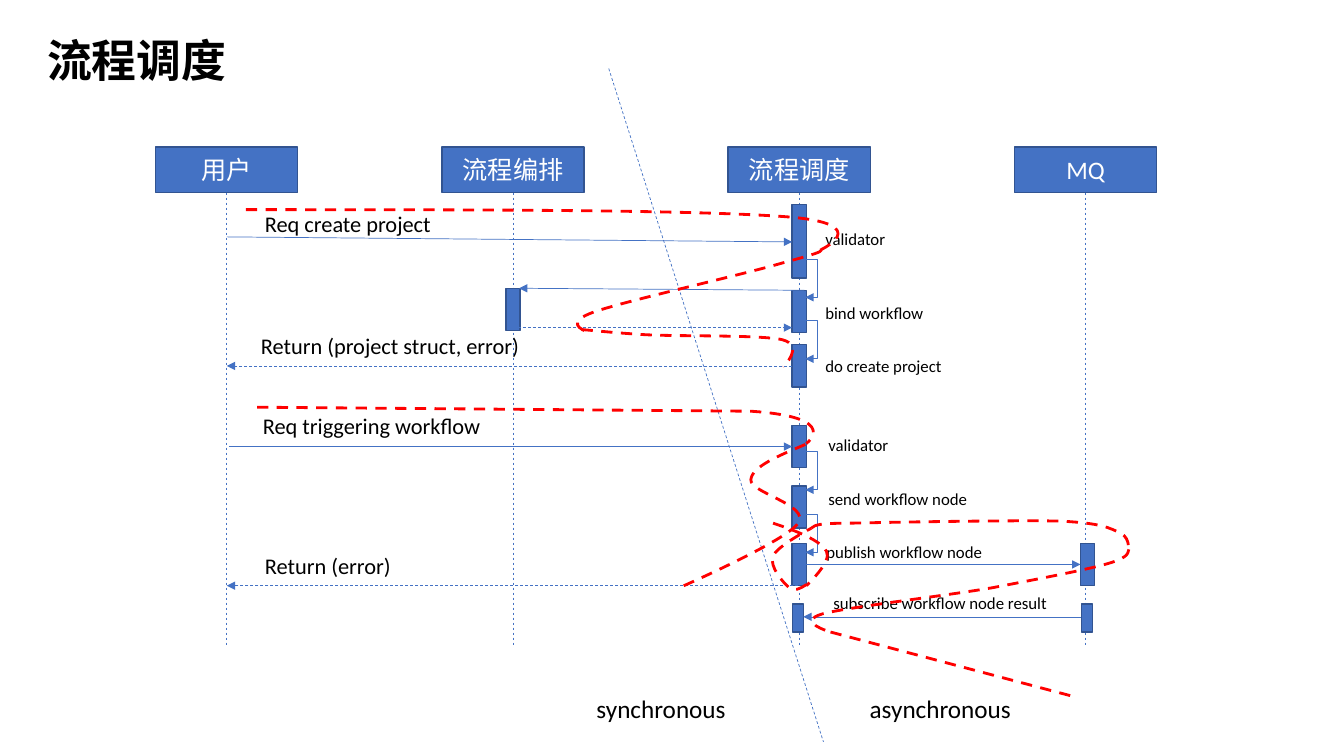
from dataclasses import dataclass
from math import comb

from lxml.etree import SubElement
from pptx import Presentation
from pptx.dml.color import RGBColor
from pptx.enum.dml import MSO_LINE
from pptx.enum.shapes import MSO_CONNECTOR, MSO_SHAPE
from pptx.enum.text import MSO_ANCHOR, MSO_AUTO_SIZE, PP_ALIGN
from pptx.oxml.ns import qn
from pptx.util import Cm, Pt

BLUE = RGBColor(0x44, 0x72, 0xC4)
NAVY = RGBColor(0x32, 0x54, 0x91)
RED = RGBColor(0xFF, 0x00, 0x00)
BLACK = RGBColor(0x00, 0x00, 0x00)
WHITE = RGBColor(0xFF, 0xFF, 0xFF)
FONT = "Calibri"

# All coordinates below are in inches; inch() turns them into Cm.
USER, ORCHESTRATION, SCHEDULER, QUEUE = (2.25 + 2.84 * i for i in range(4))
BAR_W = 0.14
HEAD_W, HEAD_H, HEAD_TOP = 1.41, 0.45, 1.46
LIFE_TOP, LIFE_BOTTOM = 1.91, 6.41
LOOP_X, LOOP_W, LOOP_H = 7.92, 0.07, 0.37

Point = tuple[float, float]


def inch(value: float) -> int:
    """Return a length in inches as Cm."""
    return Cm(value * 2.54)


@dataclass
class Label:
    text: str
    x: float
    y: float
    w: float
    h: float = 0.3
    size: int = 12
    bold: bool = False


@dataclass
class Bar:
    x: float
    y: float
    h: float = 0.42
    w: float = BAR_W


@dataclass
class Line:
    start: Point
    end: Point
    dashed: bool = False
    arrow: bool = True


@dataclass
class Stroke:
    """A start point and segments of one (straight) or three (cubic) points."""
    start: Point
    segments: list[tuple[Point, ...]]


HEADS = [("用户", USER), ("流程编排", ORCHESTRATION), ("流程调度", SCHEDULER), ("MQ", QUEUE)]
LIFELINES = [Line((x, LIFE_TOP), (x, LIFE_BOTTOM), True, False) for _, x in HEADS]
BARS = [
    Bar(7.86, 2.03, 0.73), *(Bar(7.86, y) for y in (2.88, 3.42, 4.22, 4.82, 5.39)),
    Bar(5.02, 2.86), Bar(10.72, 5.39), Bar(7.86, 5.99, 0.28, 0.11), Bar(10.73, 5.99, 0.28, 0.11),
]
MESSAGES = [
    Line((USER, 2.35), (7.86, 2.4)),
    Line((7.98, 2.88), (5.15, 2.86)),
    Line((ORCHESTRATION, 3.25), (7.86, 3.25), True),
    Line((7.86, 3.63), (USER, 3.63), True),
    Line((2.27, 4.43), (7.86, 4.43)),
    Line((7.99, 5.6), (10.72, 5.6)),
    Line((10.73, 6.12), (7.97, 6.12)),
    Line((7.92, 5.81), (USER, 5.81), True),
]
DIVIDER = Line((6.04, 0.68), (8.17, 7.36), True, False)
LOOP_TOPS = [2.58, 3.19, 4.49, 5.11]

LABELS = [
    Label("流程调度", 0.37, 0.28, 2, 0.64, 32, True),
    Label("Req create project", 2.53, 2.04, 1.87, 0.37, 16),
    Label("Return (project struct, error)", 2.49, 3.25, 2.81, 0.37, 16),
    Label("Req triggering workflow", 2.51, 4.04, 2.39, 0.37, 16),
    Label("Return (error)", 2.53, 5.43, 1.47, 0.37, 16),
    Label("validator", 8.09, 2.22, 0.8),
    Label("bind workflow", 8.09, 2.95, 1.19),
    Label("do create project", 8.09, 3.48, 1.37),
    Label("validator", 8.12, 4.26, 0.8),
    Label("send workflow node", 8.12, 4.8, 1.6),
    Label("publish workflow node", 8.1, 5.33, 1.77),
    Label("subscribe workflow node result", 8.17, 5.83, 2.36),
    Label("synchronous", 5.82, 6.83, 1.5, 0.4, 18),
    Label("asynchronous", 8.53, 6.83, 1.62, 0.4, 18),
]

STROKES = [
    Stroke((2.44, 2.08), [((4.64, 2.08), (6.84, 2.08), (7.79, 2.15)),
                          ((8.73, 2.22), (8.12, 2.49), (8.12, 2.49))]),
    Stroke((8.15, 2.48), [((8.14, 2.5), (8.13, 2.51), (7.76, 2.61)),
                          ((7.39, 2.72), (6.23, 2.98), (5.91, 3.09)),
                          ((5.58, 3.2), (5.8, 3.28), (5.8, 3.28))]),
    Stroke((5.77, 3.27), [((5.91, 3.28), (6.06, 3.3), (6.39, 3.32)),
                          ((6.72, 3.34), (7.53, 3.32), (7.76, 3.37)),
                          ((7.99, 3.43), (7.77, 3.64), (7.77, 3.64))]),
    Stroke((2.55, 4.04), [((7.45, 4.08),), ((8.36, 4.14), (8, 4.4), (8, 4.4))]),
    Stroke((7.99, 4.41), [((7.73, 4.52), (7.46, 4.63), (7.45, 4.76)),
                          ((7.44, 4.89), (8.04, 5.01), (7.92, 5.19)),
                          ((7.8, 5.37), (6.72, 5.84), (6.72, 5.84))]),
    Stroke((7.67, 5.19), [((7.91, 5.27), (8.14, 5.36), (8.2, 5.47)),
                          ((8.26, 5.57), (8, 5.81), (8, 5.81))]),
    Stroke((8, 5.8), [((7.94, 5.84), (7.88, 5.87), (7.83, 5.83)),
                      ((7.77, 5.78), (7.63, 5.62), (7.67, 5.52)),
                      ((7.7, 5.42), (8.05, 5.24), (8.05, 5.24))]),
    Stroke((11.2, 5.45), [((11.19, 5.5), (11.18, 5.54), (10.96, 5.6)),
                          ((10.74, 5.66), (10.32, 5.74), (9.85, 5.83)),
                          ((9.39, 5.91), (8.43, 6.02), (8.16, 6.09)),
                          ((7.89, 6.17), (8.24, 6.27), (8.24, 6.27))]),
    Stroke((8.24, 6.27), [((10.69, 6.92),)]),
    Stroke((8.05, 5.24), [((8.07, 5.22), (8.09, 5.21), (8.16, 5.2)),
                          ((8.23, 5.19), (8.49, 5.19), (8.49, 5.19)),
                          ((8.88, 5.18), (10.07, 5.16), (10.51, 5.17)),
                          ((10.94, 5.19), (11.01, 5.24), (11.12, 5.29)),
                          ((11.23, 5.35), (11.19, 5.49), (11.19, 5.49))]),
]


def write(tf, text: str, *, size: int, color=BLACK, bold=False, align=PP_ALIGN.LEFT) -> None:
    """Put one formatted run into a text frame."""
    p = tf.paragraphs[0]
    p.alignment = align
    r = p.add_run()
    r.text = text
    r.font.name, r.font.size, r.font.bold = FONT, Pt(size), bold
    r.font.color.rgb = color


def add_label(s, label: Label) -> None:
    """Add an unwrapped text box."""
    tf = s.shapes.add_textbox(*map(inch, (label.x, label.y, label.w, label.h))).text_frame
    tf.word_wrap = False
    tf.auto_size = MSO_AUTO_SIZE.SHAPE_TO_FIT_TEXT
    write(tf, label.text, size=label.size, bold=label.bold)


def add_box(s, x: float, y: float, w: float, h: float):
    """Add a blue rectangle with a navy outline."""
    sp = s.shapes.add_shape(MSO_SHAPE.RECTANGLE, *map(inch, (x, y, w, h)))
    sp.shadow.inherit = False
    sp.fill.solid()
    sp.fill.fore_color.rgb = BLUE
    sp.line.color.rgb, sp.line.width = NAVY, Pt(1)
    return sp


def add_line(s, line: Line, kind=MSO_CONNECTOR.STRAIGHT):
    """Add a thin blue connector, dashed or with an arrowhead as asked."""
    c = s.shapes.add_connector(kind, *map(inch, (*line.start, *line.end)))
    c.line.color.rgb, c.line.width = BLUE, Pt(0.5)
    if line.dashed:
        c.line.dash_style = MSO_LINE.DASH
    if line.arrow:
        SubElement(c.element.spPr.find(qn("a:ln")), qn("a:tailEnd"), type="triangle")
    SubElement(c.element.spPr, qn("a:effectLst"))
    return c


def add_loop(s, top: float) -> None:
    """Add a bent arrow from one scheduler bar to the next one down."""
    x, y = LOOP_X + LOOP_W / 2, top + LOOP_H / 2
    c = add_line(s, Line((x + LOOP_H / 2, y - LOOP_W / 2), (x - LOOP_H / 2, y + LOOP_W / 2)),
                 MSO_CONNECTOR.ELBOW)
    c.element.spPr.xfrm.set("rot", str(270 * 60000))
    geom = c.element.spPr.find(qn("a:prstGeom"))
    geom.set("prst", "bentConnector4")
    for name, value in (("adj1", -2900), ("adj2", 266700)):
        SubElement(geom.find(qn("a:avLst")), qn("a:gd"), name=name, fmla=f"val {value}")


def bounds(stroke: Stroke) -> list[Point]:
    """Return the lowest and highest x, then y, that the curve reaches."""
    seen, last = [stroke.start], stroke.start
    for segment in stroke.segments:
        points, n = [last, *segment], len(segment)
        for t in (i / 40 for i in range(41)):
            weights = [comb(n, k) * t**k * (1 - t) ** (n - k) for k in range(n + 1)]
            seen.append(tuple(sum(w * v for w, v in zip(weights, axis)) for axis in zip(*points)))
        last = segment[-1]
    return [(min(axis), max(axis)) for axis in zip(*seen)]


def add_stroke(s, stroke: Stroke) -> None:
    """Add an open red dashed outline, framed tightly around its curves."""
    fb = s.shapes.build_freeform(*map(inch, stroke.start))
    fb.add_line_segments([tuple(map(inch, seg[-1])) for seg in stroke.segments], close=False)
    sp = fb.convert_to_shape()
    (left, right), (top, bottom) = bounds(stroke)
    sp.left, sp.top, sp.width, sp.height = map(inch, (left, top, right - left, bottom - top))
    outline = next(sp.element.iter(qn("a:path")))
    outline.set("w", str(sp.width))
    outline.set("h", str(sp.height))
    for old in list(outline):
        outline.remove(old)
    for i, points in enumerate([(stroke.start,), *stroke.segments]):
        tag = "a:moveTo" if i == 0 else "a:cubicBezTo" if len(points) == 3 else "a:lnTo"
        step = SubElement(outline, qn(tag))
        for x, y in points:
            SubElement(step, qn("a:pt"), x=str(inch(x - left)), y=str(inch(y - top)))
    sp.shadow.inherit = False
    sp.fill.background()
    sp.line.color.rgb, sp.line.width = RED, Pt(2)
    sp.line.dash_style = MSO_LINE.DASH


prs = Presentation()
prs.slide_width, prs.slide_height = Cm(33.87), Cm(19.05)
s = prs.slides.add_slide(prs.slide_layouts[6])
for name, center in HEADS:
    tf = add_box(s, center - HEAD_W / 2, HEAD_TOP, HEAD_W, HEAD_H).text_frame
    tf.vertical_anchor = MSO_ANCHOR.MIDDLE
    write(tf, name, size=18, color=WHITE, align=PP_ALIGN.CENTER)
for lifeline in LIFELINES:
    add_line(s, lifeline)
for bar in BARS:
    add_box(s, bar.x, bar.y, bar.w, bar.h)
for line in [*MESSAGES, DIVIDER]:
    add_line(s, line)
for loop_top in LOOP_TOPS:
    add_loop(s, loop_top)
for label in LABELS:
    add_label(s, label)
for stroke in STROKES:
    add_stroke(s, stroke)
prs.save("out.pptx")
